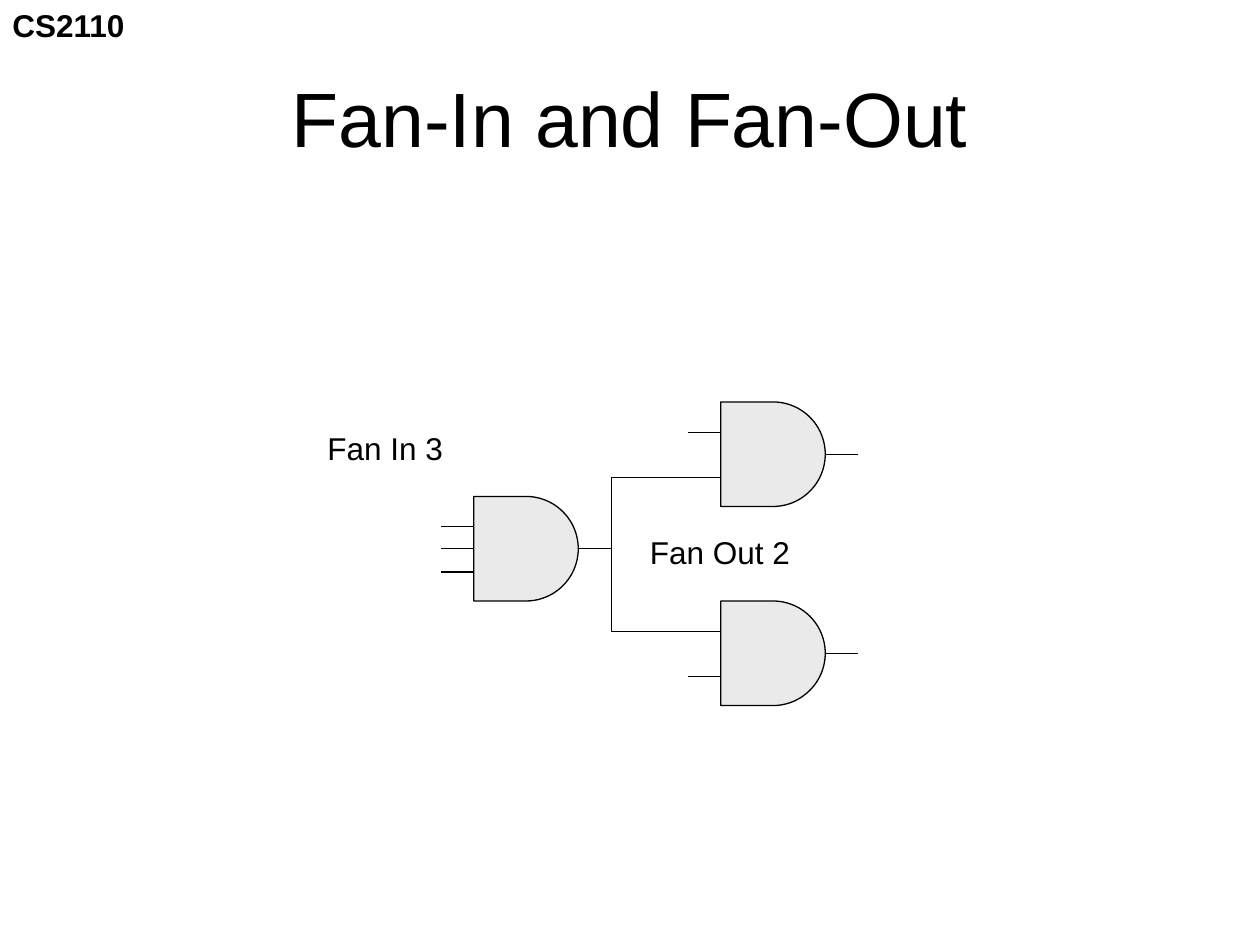
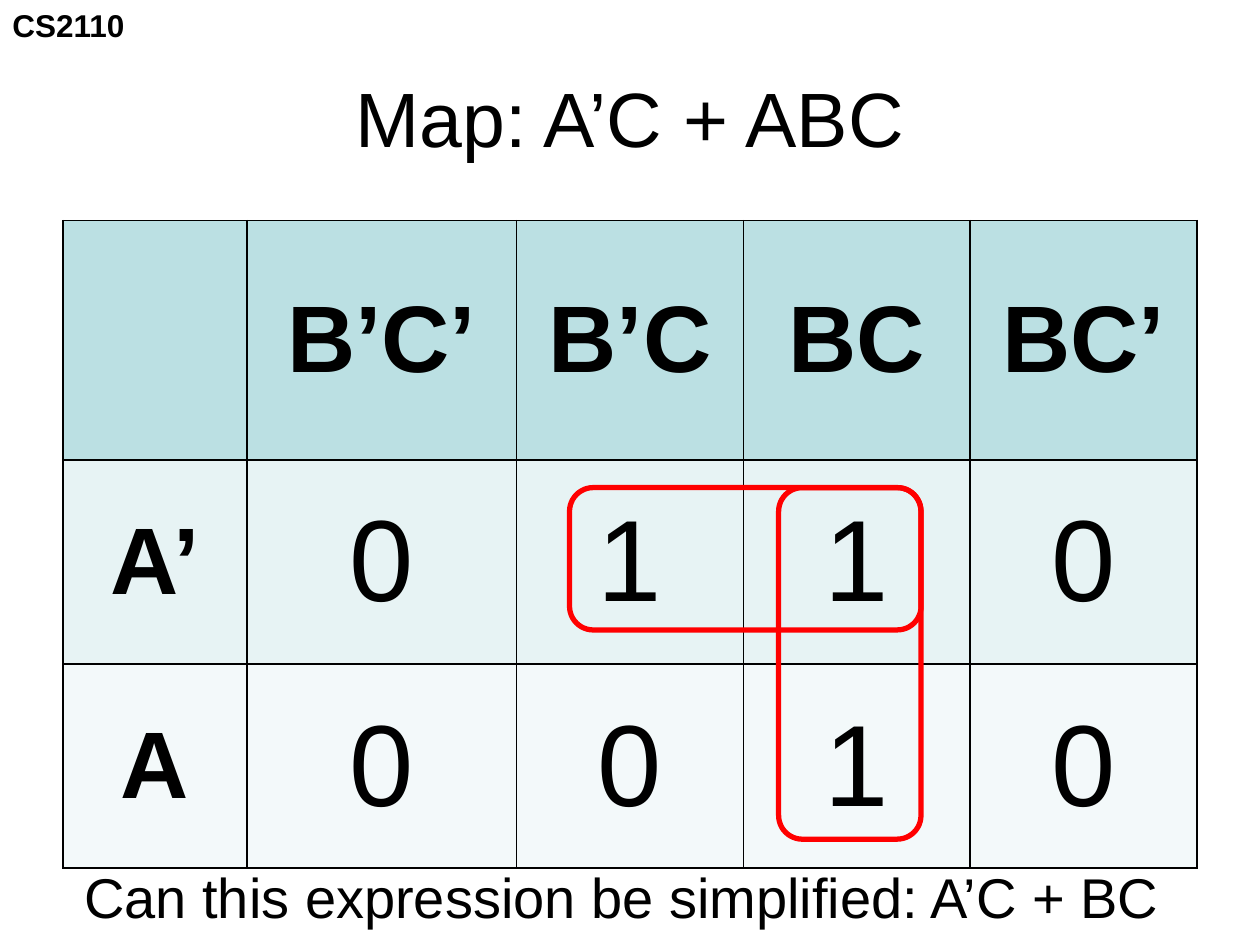
from typing import NamedTuple

from lxml.etree import SubElement
from pptx import Presentation
from pptx.dml.color import RGBColor
from pptx.enum.shapes import MSO_CONNECTOR, MSO_SHAPE
from pptx.enum.text import MSO_ANCHOR, MSO_AUTO_SIZE, PP_ALIGN
from pptx.oxml.ns import qn
from pptx.util import Inches, Pt

FONT = "Arial"
BLACK = "000000"
GATE_FILL = "EAEAEA"
LOOP_RED = "FF0000"
ROW_FILLS = ["BBE0E3", "E7F3F4", "F3F9FA"]

GATE_SIZE = 0.83
LEAD = 0.26
UPPER_INPUT, MIDDLE_INPUT, LOWER_INPUT = 0.24, GATE_SIZE / 2, 0.6


class Gate(NamedTuple):
    left: float
    top: float
    inputs: tuple


class Label(NamedTuple):
    text: str
    left: float
    top: float
    width: float
    height: float
    size: int = 18
    bold: bool = False


class Loop(NamedTuple):
    left: float
    top: float
    width: float
    height: float


COURSE = Label("CS2110", 0, 0, 1.1, 0.4, bold=True)

DRIVER = Gate(3.76, 3.94, (UPPER_INPUT, MIDDLE_INPUT, LOWER_INPUT))
UPPER_LOAD = Gate(5.72, 3.19, (UPPER_INPUT, LOWER_INPUT))
LOWER_LOAD = Gate(5.72, 4.77, (UPPER_INPUT, LOWER_INPUT))
FAN_LABELS = [
    Label("Fan In 3", 2.5, 3.36, 1.13, 0.4),
    Label("Fan Out 2", 5.06, 4.18, 1.32, 0.4),
]

MAP_ROWS = [
    ["", "B’C’", "B’C", "BC", "BC’"],
    ["A’", "0", "1", "1", "0"],
    ["A", "0", "0", "1", "0"],
]
MAP_COLUMNS = [1.46, 2.14, 1.8, 1.8, 1.8]
MAP_HEIGHTS = [1.9, 1.62, 1.62]
QUESTION = Label("Can this expression be simplified: A’C + BC", 0.57, 6.8, 8.81, 0.64, size=32)
LOOPS = [Loop(4.52, 3.87, 2.79, 1.13), Loop(6.18, 3.87, 1.13, 2.79)]


def rgb(value: str) -> RGBColor:
    return RGBColor.from_string(value)


def set_font(paragraph, size: int, bold: bool = False) -> None:
    font = paragraph.font
    font.name, font.size, font.bold = FONT, Pt(size), bold
    font.color.rgb = rgb(BLACK)


def add_label(slide, label: Label) -> None:
    box = slide.shapes.add_textbox(*map(Inches, label[1:5]))
    box.text_frame.word_wrap = False
    box.text_frame.auto_size = MSO_AUTO_SIZE.SHAPE_TO_FIT_TEXT
    paragraph = box.text_frame.paragraphs[0]
    paragraph.text = label.text
    set_font(paragraph, label.size, label.bold)


def add_titled_slide(deck, heading: str):
    slide = deck.slides.add_slide(deck.slide_layouts[5])
    add_label(slide, COURSE)
    title = slide.shapes.title
    title.left, title.top, title.width, title.height = map(Inches, (0.5, 0.3, 9, 1.25))
    title.text_frame.text = heading
    title.text_frame.vertical_anchor = MSO_ANCHOR.MIDDLE
    paragraph = title.text_frame.paragraphs[0]
    paragraph.alignment = PP_ALIGN.CENTER
    set_font(paragraph, 44)
    return slide


def add_wire(shapes, start: tuple, end: tuple, kind=MSO_CONNECTOR.STRAIGHT):
    wire = shapes.add_connector(kind, *map(Inches, (*start, *end)))
    wire.line.color.rgb = rgb(BLACK)
    wire.line.width = Pt(0.75)
    SubElement(wire._element.spPr, qn("a:effectLst"))
    return wire


def add_gate(slide, gate: Gate) -> None:
    """Draw an AND gate grouped with its input and output leads."""
    shapes = slide.shapes.add_group_shape().shapes
    body = shapes.add_shape(
        MSO_SHAPE.FLOWCHART_DELAY,
        *map(Inches, (gate.left, gate.top, GATE_SIZE, GATE_SIZE)),
    )
    body.shadow.inherit = False
    body.fill.solid()
    body.fill.fore_color.rgb = rgb(GATE_FILL)
    body.line.color.rgb = rgb(BLACK)
    body.line.width = Pt(0.75)
    for offset in gate.inputs:
        y = gate.top + offset
        lead = add_wire(shapes, (gate.left, y), (gate.left - LEAD, y))
        if offset == MIDDLE_INPUT:
            lead.begin_connect(body, 1)
    right, middle = gate.left + GATE_SIZE, gate.top + GATE_SIZE / 2
    output = add_wire(shapes, (right + LEAD, middle), (right, middle))
    output.end_connect(body, 3)


def add_branch(slide, source: Gate, target: Gate, offset: float) -> None:
    """Run a wire from an output lead, turning at once, to an input lead."""
    start = (source.left + GATE_SIZE + LEAD, source.top + GATE_SIZE / 2)
    end = (target.left - LEAD, target.top + offset)
    branch = add_wire(slide.shapes, start, end, MSO_CONNECTOR.ELBOW)
    geometry = branch._element.spPr.find(qn("a:prstGeom"))
    guides = geometry.find(qn("a:avLst"))
    SubElement(guides, qn("a:gd"), name="adj1", fmla="val 1000")


def add_borders(cell) -> None:
    properties = cell._tc.get_or_add_tcPr()
    for position, side in enumerate(("a:lnL", "a:lnR", "a:lnT", "a:lnB")):
        border = properties.makeelement(qn(side), {"w": str(Pt(1))})
        properties.insert(position, border)
        fill = SubElement(border, qn("a:solidFill"))
        SubElement(fill, qn("a:srgbClr"), val=BLACK)


def add_map(slide) -> None:
    frame = slide.shapes.add_table(
        len(MAP_ROWS), len(MAP_COLUMNS), Inches(0.5), Inches(1.75),
        Inches(sum(MAP_COLUMNS)), Inches(sum(MAP_HEIGHTS)),
    )
    table = frame.table
    table.first_row = table.horz_banding = False
    for column, width in zip(table.columns, MAP_COLUMNS):
        column.width = Inches(width)
    for r, (values, height, fill) in enumerate(zip(MAP_ROWS, MAP_HEIGHTS, ROW_FILLS)):
        table.rows[r].height = Inches(height)
        for c, value in enumerate(values):
            cell = table.cell(r, c)
            cell.fill.solid()
            cell.fill.fore_color.rgb = rgb(fill)
            add_borders(cell)
            cell.vertical_anchor = MSO_ANCHOR.MIDDLE
            cell.text = value
            paragraph = cell.text_frame.paragraphs[0]
            paragraph.alignment = PP_ALIGN.CENTER
            is_heading = r == 0 or c == 0
            set_font(paragraph, 54 if is_heading else 66, is_heading)


def add_loop(slide, loop: Loop) -> None:
    outline = slide.shapes.add_shape(MSO_SHAPE.ROUNDED_RECTANGLE, *map(Inches, loop))
    outline.shadow.inherit = False
    outline.fill.background()
    outline.line.color.rgb = rgb(LOOP_RED)
    outline.line.width = Pt(3)


def build_fan_slide(deck) -> None:
    slide = add_titled_slide(deck, "Fan-In and Fan-Out")
    for gate in (DRIVER, UPPER_LOAD, LOWER_LOAD):
        add_gate(slide, gate)
    add_branch(slide, DRIVER, LOWER_LOAD, UPPER_INPUT)
    add_branch(slide, DRIVER, UPPER_LOAD, LOWER_INPUT)
    for label in FAN_LABELS:
        add_label(slide, label)


def build_map_slide(deck) -> None:
    slide = add_titled_slide(deck, "Map: A’C + ABC")
    add_map(slide)
    add_label(slide, QUESTION)
    for loop in LOOPS:
        add_loop(slide, loop)


def main() -> None:
    deck = Presentation()
    deck.slide_width, deck.slide_height = Inches(10), Inches(7.5)
    build_fan_slide(deck)
    build_map_slide(deck)
    deck.save("out.pptx")


if __name__ == "__main__":
    main()
